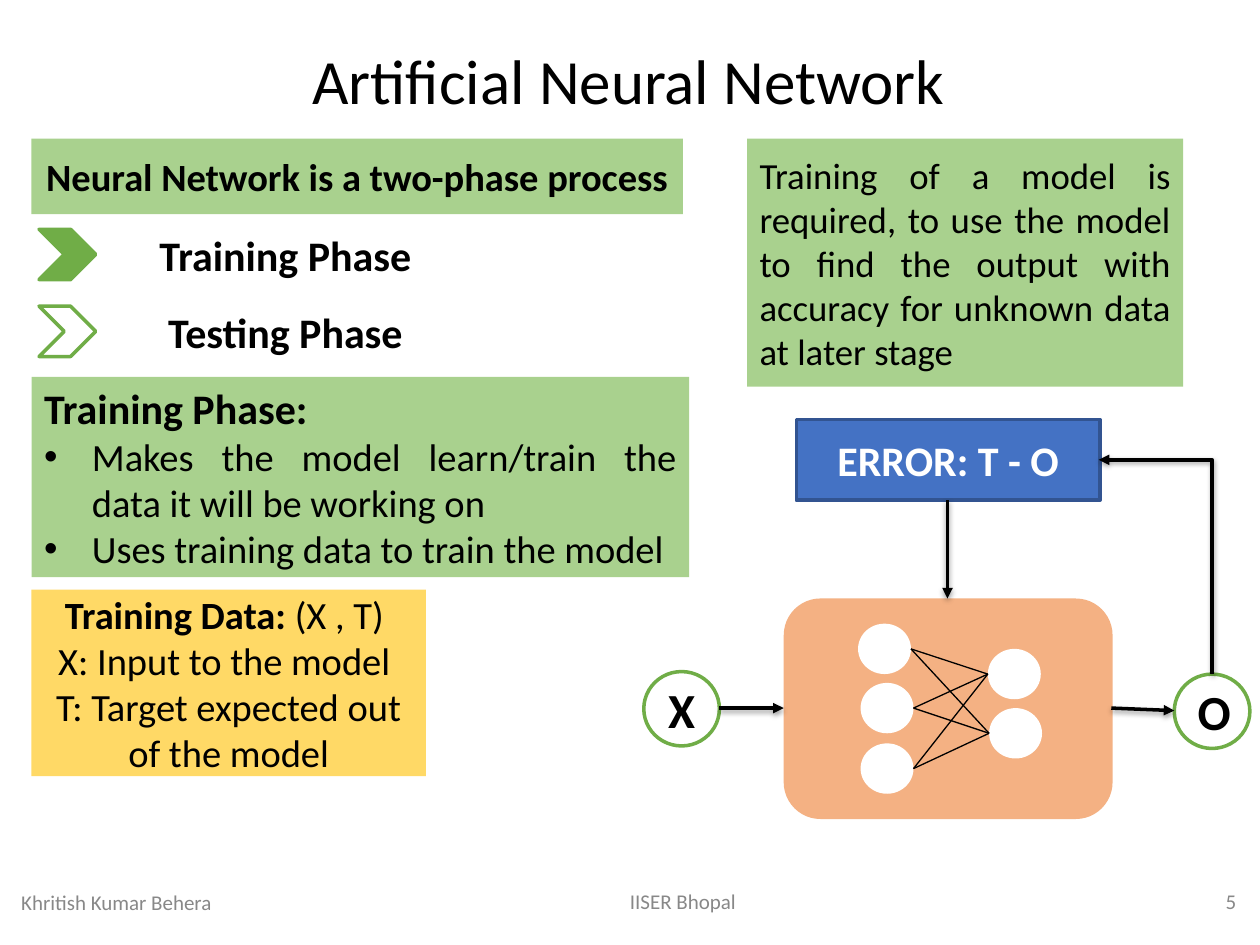
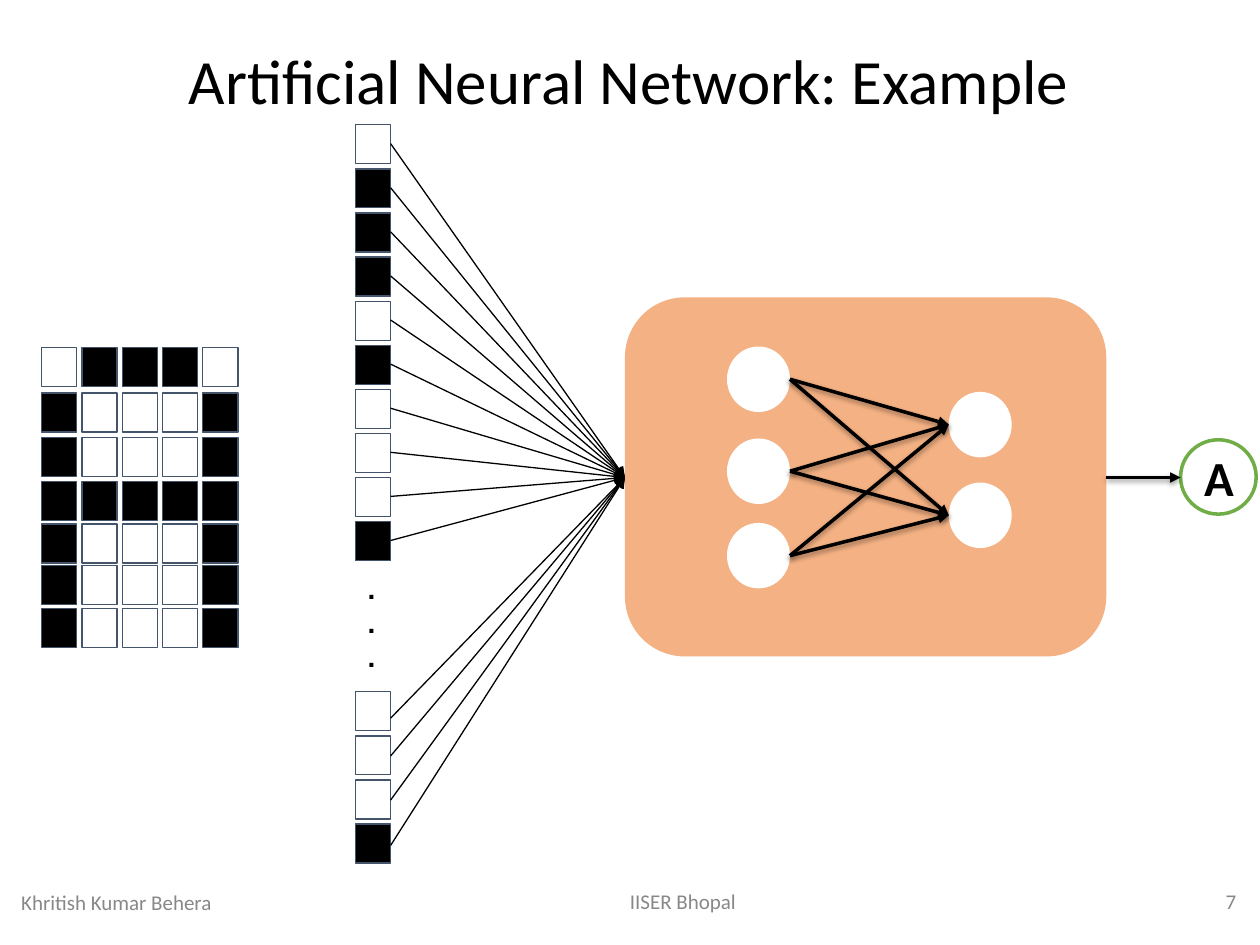
"""Build two slides that explain an artificial neural network."""
from itertools import product

from lxml import etree
from pptx import Presentation, util as u
from pptx.dml.color import RGBColor
from pptx.enum import shapes, text
from pptx.oxml import ns

HUES = {
    "black": "000000", "white": "FFFFFF", "gray": "888888", "slate": "44546A",
    "leaf": "A9D18E", "green": "70AD47", "gold": "FFD966", "peach": "F4B183",
    "blue": "4472C4", "navy": "325491",
}
KIND = shapes.MSO_SHAPE
LEFT, MID, RIGHT, FULL = (
    text.PP_ALIGN.LEFT, text.PP_ALIGN.CENTER, text.PP_ALIGN.RIGHT, text.PP_ALIGN.JUSTIFY)
TOP, CORE = text.MSO_ANCHOR.TOP, text.MSO_ANCHOR.MIDDLE


def hue(name):
    """Return the named colour."""
    return RGBColor.from_string(HUES[name])


def node(parent, tag, **attrs):
    """Append a drawing element to its parent."""
    return etree.SubElement(parent, ns.qn("a:" + tag), attrs)


class Deck:
    """Hold the style and the current slide."""

    def __init__(self):
        """Open an empty deck."""
        self.prs = Presentation()
        self.prs.slide_width, self.prs.slide_height = u.Inches(10), u.Inches(7.5)
        self.slide = None

    def start(self, title, number, layout):
        """Add a slide with its title and footers."""
        self.slide = self.prs.slides.add_slide(self.prs.slide_layouts[layout])
        head = self.slide.shapes.title
        self.place(head, (0.07, 0.28, 9.84, 0.71))
        self.put(head.text_frame, title, 36, anchor=TOP)
        for box, words, align in (
                ((0.07, 6.96, 3.38, 0.4), "Khritish Kumar Behera", LEFT),
                ((3.73, 6.95, 3.38, 0.4), "IISER Bhopal", MID),
                ((7.66, 6.95, 2.25, 0.4), str(number), RIGHT)):
            self.label(box, words, 12, color="gray", align=align)

    def place(self, item, box):
        """Move an item to its box."""
        item.left, item.top, item.width, item.height = map(u.Inches, box)

    def style(self, run, size, bold=False, color="black", font="Calibri"):
        """Format one run."""
        run.font.size, run.font.bold, run.font.name = u.Pt(size), bold, font
        run.font.color.rgb = hue(color)

    def put(self, frame, words, size, align=MID, anchor=CORE, **look):
        """Fill a text frame and format it."""
        frame.text = words
        frame.word_wrap = True
        frame.auto_size = text.MSO_AUTO_SIZE.NONE
        frame.vertical_anchor = anchor
        for par in frame.paragraphs:
            par.alignment = align
            par.space_before = u.Pt(0)
            for run in par.runs:
                self.style(run, size, **look)

    def label(self, box, words, size, **look):
        """Add a plain text box."""
        item = self.slide.shapes.add_textbox(*map(u.Inches, box))
        self.put(item.text_frame, words, size, **look)

    def shape(self, kind, box, fill, line=None, width=2):
        """Add a preset shape."""
        item = self.slide.shapes.add_shape(kind, *map(u.Inches, box))
        item.shadow.inherit = False
        item.fill.solid()
        item.fill.fore_color.rgb = hue(fill)
        if line:
            item.line.color.rgb = hue(line)
            item.line.width = u.Pt(width)
        else:
            item.line.fill.background()
        return item

    def panel(self, box, fill, words, size, **look):
        """Add a filled box with text."""
        item = self.shape(KIND.RECTANGLE, box, fill)
        self.put(item.text_frame, words, size, **look)
        return item

    def ring(self, left, top, letter):
        """Add a green ring with a letter."""
        item = self.shape(KIND.OVAL, (left, top, 0.6, 0.59), "white", "green")
        self.put(item.text_frame, letter, 28, bold=True)

    def listing(self, box, fill, head, points):
        """Turn the body placeholder into a headed bullet list."""
        item = self.slide.placeholders[1]
        self.place(item, box)
        item.fill.solid()
        item.fill.fore_color.rgb = hue(fill)
        self.put(item.text_frame, "\n".join([head, *points]), 22, align=FULL)
        first, *rest = item.text_frame.paragraphs
        self.style(first.runs[0], 24, bold=True)
        props = first._p.get_or_add_pPr()
        props.set("marL", "0")
        props.set("indent", "0")
        node(props, "buNone")
        for par in rest:
            props = par._p.get_or_add_pPr()
            props.set("marL", str(u.Inches(0.38)))
            props.set("indent", str(u.Inches(-0.38)))
            node(props, "buFont", typeface="Arial")
            node(props, "buChar", char="•")

    def link(self, start, end, width=2, head=True, shade=True,
             kind=shapes.MSO_CONNECTOR.STRAIGHT):
        """Add a line, with an arrowhead and a shadow if wanted."""
        item = self.slide.shapes.add_connector(kind, *map(u.Inches, (*start, *end)))
        item.line.color.rgb = hue("black")
        item.line.width = u.Pt(width)
        if head:
            node(item.line._get_or_add_ln(), "tailEnd", type="triangle")
        effect = node(item.element.spPr, "effectLst")
        if shade:
            cast = node(effect, "outerShdw", blurRad=str(u.Pt(3.1)), dist=str(u.Pt(1.6)),
                        dir="5400000", rotWithShape="0")
            node(node(cast, "srgbClr", val=HUES["black"]), "alpha", val="38000")
        return item

    def bend(self, start, end):
        """Add an arrow that goes up and then turns left."""
        wide, high = start[0] - end[0], start[1] - end[1]
        x, y = (start[0] + end[0]) / 2, (start[1] + end[1]) / 2
        item = self.link((x - high / 2, y + wide / 2), (x + high / 2, y - wide / 2),
                         kind=shapes.MSO_CONNECTOR.ELBOW)
        props = item.element.spPr
        props.find(ns.qn("a:xfrm")).set("rot", "16200000")
        props.find(ns.qn("a:prstGeom")).set("prst", "bentConnector2")

    def net(self, box, ins, outs, size, **look):
        """Add a model box with two fully linked layers."""
        wide, high = size
        self.shape(KIND.FLOWCHART_ALTERNATE_PROCESS, box, "peach")
        for spot in ins + outs:
            self.shape(KIND.OVAL, (*spot, *size), "white")
        for (x, y), (far, low) in product(ins, outs):
            self.link((x + wide, y + high / 2), (far, low + high / 2), **look)

    def cell(self, left, top, bit):
        """Add one pixel of the letter."""
        fill = "black" if bit == "1" else "white"
        self.shape(KIND.RECTANGLE, (left, top, 0.28, 0.31), fill, "slate", 0.75)


def phases(deck):
    """Draw the slide on the training phase."""
    deck.start("Artificial Neural Network", 5, 1)
    deck.panel((0.25, 1.1, 5.17, 0.6), "leaf", "Neural Network is a two-phase process",
               22, bold=True)
    for top, fill, words in ((1.77, "green", "Training Phase"),
                             (2.38, "white", "Testing Phase")):
        deck.shape(KIND.CHEVRON, (0.31, top + 0.05, 0.45, 0.4), fill, "green")
        deck.panel((0.87, top, 2.79, 0.51), "white", words, 24, bold=True)
    deck.listing((0.25, 2.99, 5.22, 1.59), "leaf", "Training Phase:", [
        "Makes the model learn/train the data it will be working on",
        "Uses training data to train the model"])
    data = deck.panel(
        (0.25, 4.68, 3.13, 1.48), "gold",
        "Training Data: \nX: Input to the model \nT: Target expected out of the model", 22)
    first = data.text_frame.paragraphs[0]
    deck.style(first.runs[0], 22, bold=True)
    pair = first.add_run()
    pair.text = "(X , T) "
    deck.style(pair, 22)
    deck.panel((5.93, 1.1, 3.46, 1.97), "leaf",
               "Training of a model is required, to use the model to find the output "
               "with accuracy for unknown data at later stage", 21, align=FULL)

    deck.net((6.22, 4.75, 2.61, 1.75), [(6.81, 4.95), (6.83, 5.42), (6.83, 5.9)],
             [(7.84, 5.15), (7.85, 5.62)], (0.42, 0.4), width=0.75, head=False, shade=False)
    deck.ring(5.11, 5.33, "X")
    deck.ring(9.32, 5.35, "O")
    error = deck.shape(KIND.FLOWCHART_PROCESS, (6.32, 3.33, 2.41, 0.64), "blue", "navy")
    deck.put(error.text_frame, "ERROR: T - O", 24, bold=True, color="white")
    deck.link((5.71, 5.62), (6.22, 5.62))
    deck.link((8.82, 5.62), (9.32, 5.64))
    deck.link((7.52, 3.97), (7.52, 4.75))
    deck.bend((9.62, 5.35), (8.72, 3.65))


def letter(deck):
    """Draw the slide that reads a letter from its pixels."""
    deck.start("Artificial Neural Network: Example", 7, 5)
    rows = ["01110", "10001", "10001", "11111", "10001", "10001", "10001"]
    tops = [2.76, 3.12, 3.47, 3.82, 4.16, 4.49, 4.83]
    for top, row in zip(tops, rows):
        for col, bit in enumerate(row):
            deck.cell(0.33 + 0.32 * col, top, bit)

    bits = "".join(rows)
    upper = [0.99 + 0.35 * i for i in range(10)]
    lower = [5.49 + 0.35 * i for i in range(4)]
    for top, bit in zip(upper + lower, bits[:10] + bits[-4:]):
        deck.cell(2.82, top, bit)
    deck.label((2.82, 4.49, 0.28, 1.18), ".\n.\n.", 16, bold=True, font="Arial",
               align=LEFT, anchor=TOP)

    deck.net((4.96, 2.36, 3.82, 2.85), [(5.77, 2.75), (5.77, 3.48), (5.77, 4.15)],
             [(7.53, 3.11), (7.53, 3.83)], (0.5, 0.52))
    for y in [top + 0.15 for top in upper] + [5.7, 6, 6.35, 6.71]:
        deck.link((3.1, y), (4.96, 3.79), width=0.75, shade=False)
    deck.ring(9.37, 3.49, "A")
    deck.link((8.78, 3.79), (9.37, 3.79))


def main():
    """Build and save the deck."""
    deck = Deck()
    phases(deck)
    letter(deck)
    deck.prs.save("out.pptx")


if __name__ == "__main__":
    main()
